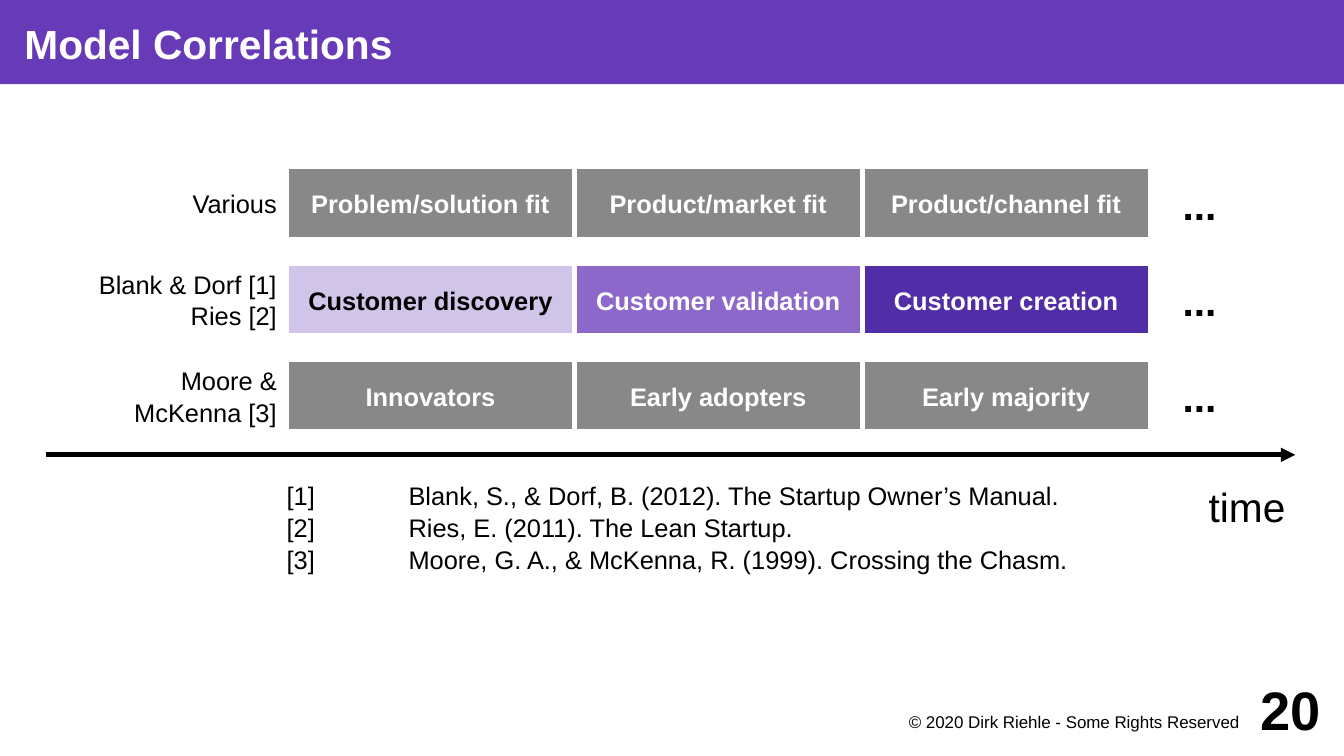
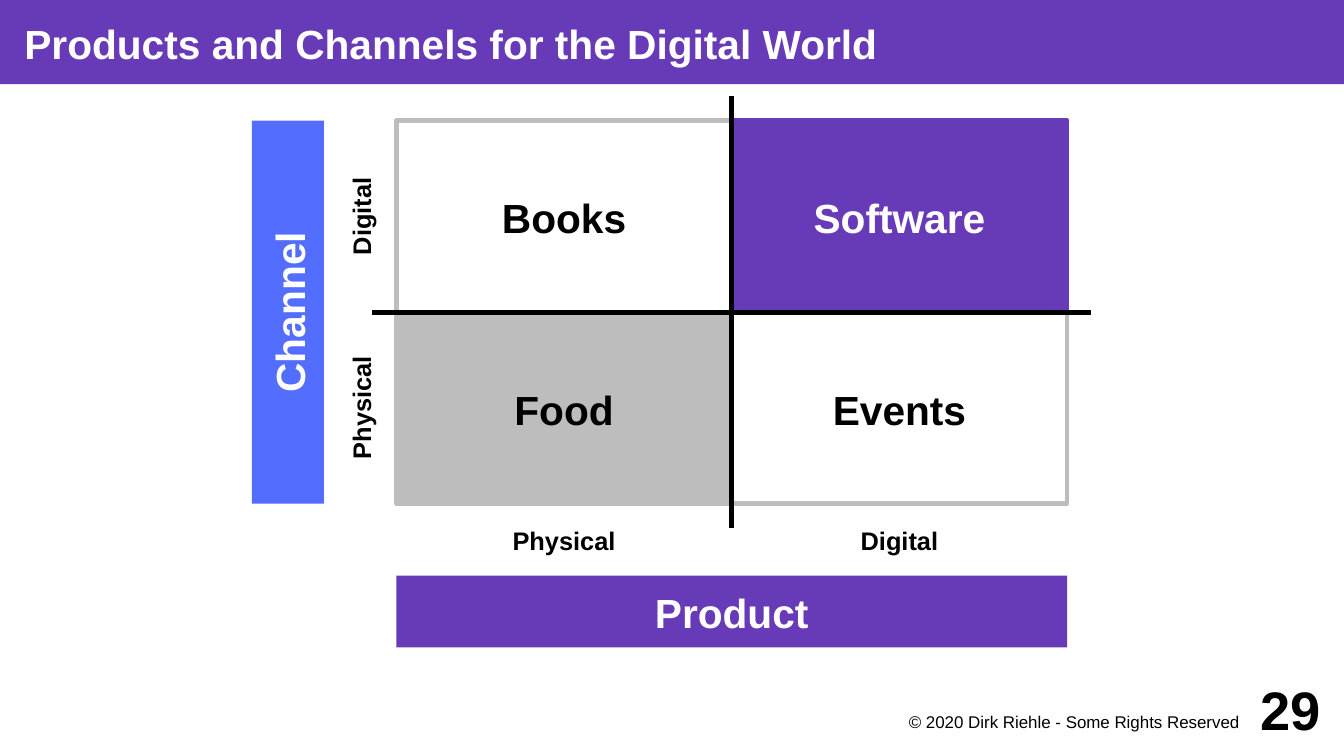
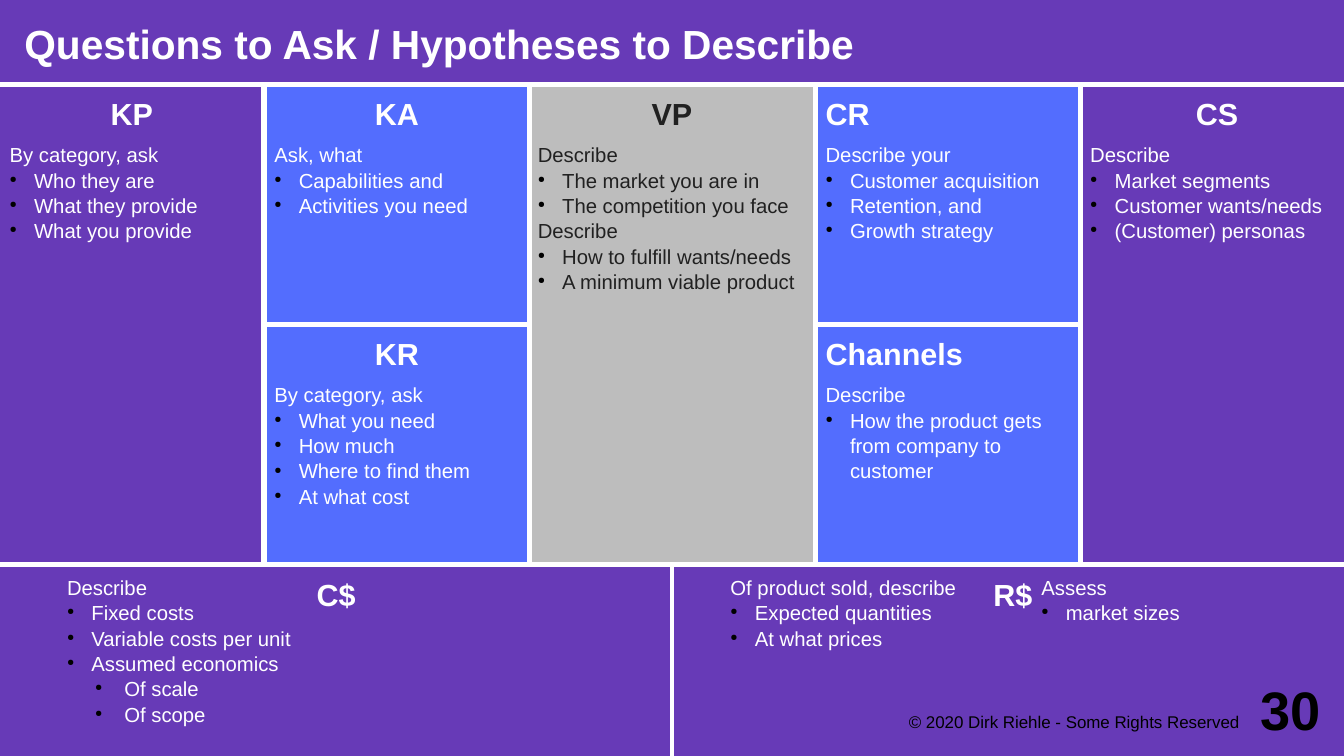
"""Builds three slides on customer development and business models."""
from dataclasses import dataclass
from typing import NamedTuple

from lxml import etree
from pptx import Presentation
from pptx.dml.color import RGBColor
from pptx.enum import shapes, text
from pptx.oxml import ns
from pptx.util import Inches, Pt

FONT = "Arial"
BLACK, WHITE, INK = "000000", "FFFFFF", "212121"
PURPLE, BLUE, SILVER, GRAY = "673AB7", "536DFE", "BDBDBD", "888888"
LILAC, VIOLET, INDIGO = "D1C4E9", "8C68CA", "512DA8"
SLIDE_W, SLIDE_H, BAND_H = 11.02, 6.2, 0.69
LINE_W, LINE_SPACING = 2.83, 1.04
LEFT, CENTER, RIGHT = text.PP_ALIGN.LEFT, text.PP_ALIGN.CENTER, text.PP_ALIGN.RIGHT
TOP, MIDDLE = text.MSO_ANCHOR.TOP, text.MSO_ANCHOR.MIDDLE
PAD = (0.08, 0.08, 0.08, 0.08)
NO_PAD = (0, 0, 0, 0)


class Box(NamedTuple):
    """Position and size in inches."""
    left: float
    top: float
    width: float
    height: float


class Item(NamedTuple):
    """A line of a note, where level 0 has no bullet."""
    text: str
    level: int = 0


@dataclass(frozen=True)
class Style:
    """Look of the text in a shape."""
    size: float
    color: str = BLACK
    bold: bool = False
    align: text.PP_ALIGN = CENTER
    anchor: text.MSO_ANCHOR = MIDDLE
    pad: tuple = PAD


@dataclass(frozen=True)
class Row:
    """One line of phases with its authors."""
    label: str
    phases: tuple
    fills: tuple = (GRAY, GRAY, GRAY)
    colors: tuple = (WHITE, WHITE, WHITE)


@dataclass(frozen=True)
class Quadrant:
    """One field of the product and channel matrix."""
    name: str
    col: int
    row: int
    fill: str
    line: str
    color: str = BLACK


@dataclass(frozen=True)
class Panel:
    """One field of the canvas, with its note if it stands below the heading."""
    name: str
    box: Box
    fill: str
    items: tuple = ()
    color: str = WHITE
    align: text.PP_ALIGN = CENTER


def rgb(value: str) -> RGBColor:
    """Turn a hex string into a colour."""
    return RGBColor.from_string(value)


def place(box: Box) -> tuple:
    """Turn a box into lengths."""
    return tuple(Inches(v) for v in box)


def format_text(sp, style: Style) -> None:
    """Format the text that a shape holds."""
    tf = sp.text_frame
    tf.word_wrap = True
    tf.auto_size = text.MSO_AUTO_SIZE.NONE
    tf.vertical_anchor = style.anchor
    tf.margin_left, tf.margin_top, tf.margin_right, tf.margin_bottom = (
        Inches(v) for v in style.pad)
    for p in tf.paragraphs:
        p.alignment = style.align
        p.line_spacing = LINE_SPACING
        for r in p.runs:
            r.font.name, r.font.size, r.font.bold = FONT, Pt(style.size), style.bold
            r.font.color.rgb = rgb(style.color)


def add_label(slide, box: Box, words: str, style: Style, rotation: float = 0):
    """Add a text box."""
    sp = slide.shapes.add_textbox(*place(box))
    sp.rotation = rotation
    sp.text_frame.text = words
    format_text(sp, style)
    return sp


def add_block(slide, box: Box, words: str, fill: str, style: Style,
              line: str | None = None, rotation: float = 0) -> None:
    """Add a filled rectangle with text."""
    sp = slide.shapes.add_shape(shapes.MSO_SHAPE.RECTANGLE, *place(box))
    sp.shadow.inherit = False
    sp.rotation = rotation
    sp.fill.solid()
    sp.fill.fore_color.rgb = rgb(fill)
    if line:
        sp.line.color.rgb = rgb(line)
        sp.line.width = Pt(LINE_W)
    else:
        sp.line.fill.background()
    sp.text_frame.text = words
    format_text(sp, style)


def add_line(slide, x1: float, y1: float, x2: float, y2: float, arrow: bool = False) -> None:
    """Add a straight black line, with an arrowhead if asked."""
    sp = slide.shapes.add_connector(
        shapes.MSO_CONNECTOR.STRAIGHT, *(Inches(v) for v in (x1, y1, x2, y2)))
    sp.line.color.rgb = rgb(BLACK)
    sp.line.width = Pt(LINE_W)
    if arrow:
        etree.SubElement(sp.line._get_or_add_ln(), ns.qn("a:tailEnd"), type="triangle")
    etree.SubElement(sp._element.spPr, ns.qn("a:effectLst"))


def add_bullet(p, level: int) -> None:
    """Give a paragraph a small black bullet and a hanging indent."""
    margin, hang = {1: (0.2, 0.2), 2: (0.47, 0.24)}[level]
    p.level = level - 1
    pPr = p._p.get_or_add_pPr()
    pPr.set("marL", str(Inches(margin)))
    pPr.set("indent", str(-Inches(hang)))
    color = etree.SubElement(pPr, ns.qn("a:buClr"))
    etree.SubElement(color, ns.qn("a:srgbClr"), val=BLACK)
    etree.SubElement(pPr, ns.qn("a:buSzPct"), val="45000")
    etree.SubElement(pPr, ns.qn("a:buChar"), char="●")


def add_note(slide, box: Box, items: tuple, color: str = WHITE) -> None:
    """Add a text box of plain and bulleted lines."""
    sp = slide.shapes.add_textbox(*place(box))
    tf = sp.text_frame
    tf.text = "\n".join(item.text for item in items)
    for p, item in zip(tf.paragraphs, items):
        if item.level:
            add_bullet(p, item.level)
    format_text(sp, Style(12, color, align=LEFT, anchor=TOP))


def bulleted(lead: str, *points: str) -> tuple:
    """Make a plain line followed by bullets."""
    return (Item(lead), *(Item(point, 1) for point in points))


def add_slide(prs, title: str):
    """Add a slide with its title band."""
    slide = prs.slides.add_slide(prs.slide_layouts[5])
    sp = slide.shapes.title
    sp.left, sp.top, sp.width, sp.height = place(Box(0, 0, SLIDE_W, BAND_H))
    sp.fill.solid()
    sp.fill.fore_color.rgb = rgb(PURPLE)
    sp.text_frame.text = title
    format_text(sp, Style(24, WHITE, True, LEFT, pad=(0.2, 0, 0, 0)))
    return slide


def add_footer(slide, number: int) -> None:
    """Add the copyright line and the page number."""
    add_label(slide, Box(7.09, 5.81, 3.15, 0.3), "© 2020 Dirk Riehle - Some Rights Reserved",
              Style(10, align=RIGHT, anchor=TOP, pad=(0, 0.02, 0.08, 0)))
    add_label(slide, Box(10.04, 5.51, 0.79, 0.59), str(number),
              Style(32, bold=True, align=RIGHT, pad=NO_PAD))


def build_correlations(prs) -> None:
    """Build the slide that lines up the phase models."""
    slide = add_slide(prs, "Model Correlations")
    left, top, width, height, pitch = 2.35, 1.37, 2.36, 0.59, 0.79
    rows = (
        Row("Various", ("Problem/solution fit", "Product/market fit", "Product/channel fit")),
        Row("Blank & Dorf [1]\nRies [2]",
            ("Customer discovery", "Customer validation", "Customer creation"),
            (LILAC, VIOLET, INDIGO), (BLACK, WHITE, WHITE)),
        Row("Moore &\vMcKenna [3]", ("Innovators", "Early adopters", "Early majority")),
    )
    for i, row in enumerate(rows):
        y = top + i * pitch
        add_label(slide, Box(0.6, y, left - 0.6, height), row.label, Style(15, align=RIGHT))
        for j, (phase, fill, color) in enumerate(zip(row.phases, row.fills, row.colors)):
            add_block(slide, Box(left + j * width, y, width, height), phase, fill,
                      Style(15, color, True), WHITE)
        add_label(slide, Box(9.44, y, 0.79, height), "...", Style(24, bold=True))
    add_line(slide, 0.38, 3.73, 10.62, 3.73, arrow=True)
    add_label(slide, Box(9.44, 3.84, 1.18, 0.6), "time", Style(24, align=RIGHT))
    references = add_label(
        slide, Box(left, 3.93, 7.09, 0.98),
        "[1]\tBlank, S., & Dorf, B. (2012). The Startup Owner’s Manual.\n"
        "[2]\tRies, E. (2011). The Lean Startup.\n"
        "[3]\tMoore, G. A., & McKenna, R. (1999). Crossing the Chasm.",
        Style(15, align=LEFT, anchor=TOP, pad=NO_PAD))
    for p in references.text_frame.paragraphs:
        tabs = etree.SubElement(p._p.get_or_add_pPr(), ns.qn("a:tabLst"))
        etree.SubElement(tabs, ns.qn("a:tab"), pos=str(Inches(1)), algn="l")
    add_footer(slide, 20)


def build_matrix(prs) -> None:
    """Build the product and channel matrix."""
    slide = add_slide(prs, "Products and Channels for the Digital World")
    mid_x, mid_y, width, height, bar = 6, 2.56, 2.75, 1.57, 0.59
    left, top, bottom = mid_x - width, mid_y - height, mid_y + height
    quadrants = (
        Quadrant("Food", 0, 1, SILVER, SILVER),
        Quadrant("Software", 1, 0, PURPLE, PURPLE, WHITE),
        Quadrant("Books", 0, 0, WHITE, SILVER),
        Quadrant("Events", 1, 1, WHITE, SILVER),
    )
    for q in quadrants:
        add_block(slide, Box(left + q.col * width, top + q.row * height, width, height),
                  q.name, q.fill, Style(24, q.color, True), q.line)
    caption, heading = Style(15, bold=True), Style(24, WHITE, True, pad=NO_PAD)
    for i, name in enumerate(("Physical", "Digital")):
        add_label(slide, Box(left + i * width, bottom, width, bar), name, caption)
        add_label(slide, Box(2.17, mid_y + 0.49 - i * height, height, bar), name, caption, 270)
    add_block(slide, Box(left, 4.72, 2 * width, bar), "Product", PURPLE, heading)
    add_block(slide, Box(0.79, mid_y - bar / 2, 2 * height, bar), "Channel", BLUE, heading,
              rotation=270)
    add_line(slide, 3.05, mid_y, 8.95, mid_y)
    add_line(slide, mid_x, 4.33, mid_x, 0.79)
    add_footer(slide, 29)


def build_canvas(prs) -> None:
    """Build the business model canvas with its questions."""
    slide = add_slide(prs, "Questions to Ask / Hypotheses to Describe")
    bleed, half, lower, heading_h = 0.08, 1.97, 4.63, 0.39
    full, middle = 2 * half, BAND_H + half
    side_w, blue_w, bottom_w = 2.24, 2.17, SLIDE_W / 2 + bleed
    bottom_h = SLIDE_H - lower + bleed
    panels = (
        Panel("KP", Box(-bleed, BAND_H, side_w, full), PURPLE,
              bulleted("By category, ask", "Who they are", "What they provide",
                       "What you provide")),
        Panel("CS", Box(8.86, BAND_H, side_w, full), PURPLE,
              bulleted("Describe", "Market segments", "Customer wants/needs",
                       "(Customer) personas")),
        Panel("VP", Box(4.33, BAND_H, 2.36, full), SILVER,
              bulleted("Describe", "The market you are in", "The competition you face")
              + bulleted("Describe", "How to fulfill wants/needs", "A minimum viable product"),
              INK),
        Panel("KA", Box(2.17, BAND_H, blue_w, half), BLUE,
              bulleted("Ask, what", "Capabilities and", "Activities you need")),
        Panel("KR", Box(2.17, middle, blue_w, half), BLUE,
              bulleted("By category, ask", "What you need", "How much", "Where to find them",
                       "At what cost")),
        Panel("CR", Box(6.69, BAND_H, blue_w, half), BLUE,
              bulleted("Describe your", "Customer acquisition", "Retention, and",
                       "Growth strategy"), align=LEFT),
        Panel("Channels", Box(6.69, middle, blue_w, half), BLUE,
              bulleted("Describe", "How the product gets from company to customer"),
              align=LEFT),
        Panel("C$", Box(-bleed, lower, bottom_w, bottom_h), PURPLE),
        Panel("R$", Box(SLIDE_W / 2, lower, bottom_w, bottom_h), PURPLE),
    )
    for panel in panels:
        left, top, width, height = panel.box
        inset = 0.16 if left < 0 else 0.08
        add_block(slide, panel.box, panel.name, panel.fill,
                  Style(18, panel.color, True, panel.align, TOP, (inset, 0.08, 0.08, 0.08)),
                  WHITE)
        if panel.items:
            add_note(slide, Box(max(left, 0), top + heading_h, width, height - heading_h),
                     panel.items, panel.color)
    costs = bulleted("Describe", "Fixed costs", "Variable costs per unit", "Assumed economics")
    bottom_notes = (
        (0.47, costs + (Item("Of scale", 2), Item("Of scope", 2))),
        (5.91, bulleted("Of product sold, describe", "Expected quantities",
                        "At what prices")),
        (8.46, bulleted("Assess", "market sizes")),
    )
    for left, items in bottom_notes:
        add_note(slide, Box(left, lower, 2.5, SLIDE_H - lower), items)
    add_footer(slide, 30)


def main() -> None:
    """Build and save the presentation."""
    prs = Presentation()
    prs.slide_width, prs.slide_height = Inches(SLIDE_W), Inches(SLIDE_H)
    build_correlations(prs)
    build_matrix(prs)
    build_canvas(prs)
    prs.save("out.pptx")


if __name__ == "__main__":
    main()
